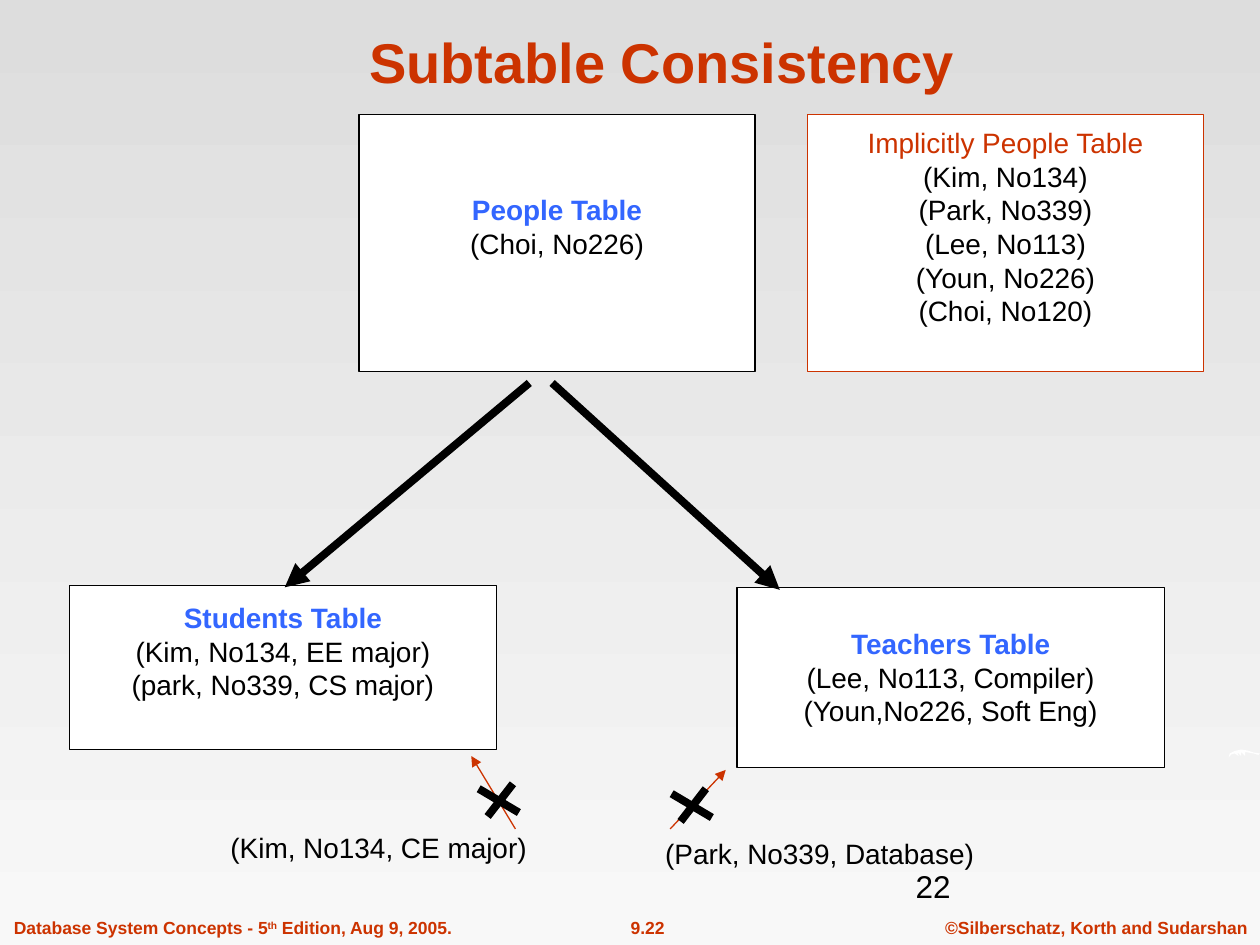
"""Build the Subtable Consistency slide."""
from dataclasses import dataclass
from typing import NamedTuple

from lxml.etree import SubElement
from pptx import Presentation
from pptx.dml.color import RGBColor
from pptx.enum.shapes import MSO_CONNECTOR as Connector, MSO_SHAPE as Shape
from pptx.enum.text import MSO_ANCHOR as Anchor, PP_ALIGN as Align
from pptx.oxml.ns import qn
from pptx.util import Cm, Pt


@dataclass(frozen=True)
class Theme:
    font: str = "Arial"
    accent: str = "CC3300"
    heading: str = "3366FF"
    ink: str = "000000"
    paper: str = "FFFFFF"
    top: str = "DDDDDD"
    bottom: str = "F8F8F8"
    title_size: int = 32
    number_size: int = 18
    body_size: int = 16
    footer_size: int = 10
    thin: float = 0.75
    thick: float = 4.5


THEME = Theme()


class Frame(NamedTuple):
    left: float
    top: float
    width: float
    height: float


class Label(NamedTuple):
    frame: Frame
    spans: tuple[str, ...]
    size: int = THEME.body_size
    color: str = THEME.ink
    bold: bool = False
    align: Align = Align.LEFT
    anchor: Anchor = Anchor.TOP
    wrap: bool = True


class TableBox(NamedTuple):
    frame: Frame
    heading: str
    rows: tuple[str, ...]
    bottom_inset: float = 0.79
    implicit: bool = False


class Stroke(NamedTuple):
    start: tuple[float, float]
    end: tuple[float, float]
    color: str = THEME.ink
    width: float = THEME.thick
    arrow: bool = True


TABLES = (
    TableBox(Frame(7.24, 2.31, 7.98, 5.18), "People Table", ("(Choi, No226)",)),
    TableBox(Frame(1.4, 11.81, 8.61, 3.3), "Students Table",
             ("(Kim, No134, EE major)", "(park, No339, CS major)")),
    TableBox(Frame(14.86, 11.84, 8.61, 3.63), "Teachers Table",
             ("(Lee, No113, Compiler)", "(Youn,No226, Soft Eng)"), bottom_inset=0.13),
    TableBox(Frame(16.28, 2.31, 7.98, 5.18), "Implicitly People Table",
             ("(Kim, No134)", "(Park, No339)", "(Lee, No113)", "(Youn, No226)",
              "(Choi, No120)"), implicit=True),
)

FOOTER = dict(size=THEME.footer_size, color=THEME.accent, bold=True, wrap=False)
FOOTERS = (
    Label(Frame(18.8, 18.36, 6.6, 0.69), ("©Silberschatz, Korth and Sudarshan",),
          align=Align.CENTER, **FOOTER),
    Label(Frame(11.81, 18.36, 2.49, 0.69), ("9.22",), align=Align.CENTER, **FOOTER),
    Label(Frame(0.03, 18.36, 9.35, 0.69),
          ("Database System Concepts - 5", "th", " Edition, Aug 9, 2005."), **FOOTER),
)
TITLE = Label(Frame(2.13, 0.33, 22.43, 1.7), ("Subtable Consistency",), THEME.title_size,
              THEME.accent, True, Align.CENTER, Anchor.BOTTOM)
NOTES = (
    Label(Frame(13.16, 16.74, 6.76, 0.94), ("(Park, No339, Database)",)),
    Label(Frame(4.32, 16.61, 6.63, 0.94), ("(Kim, No134, CE major)",), align=Align.CENTER),
    Label(Frame(18.21, 17.35, 5.28, 1.27), ("22",), THEME.number_size),
)

ARROWS = (
    Stroke((10.67, 7.72), (5.74, 11.84)),
    Stroke((11.13, 7.72), (15.72, 11.89)),
    Stroke((13.51, 16.71), (14.63, 15.52), THEME.accent, THEME.thin),
    Stroke((10.39, 16.71), (9.5, 15.24), THEME.accent, THEME.thin),
)
CROSS_ORIGINS = ((9.65, 15.8), (13.54, 15.9))
CROSS_ARMS = (((0.69, 0), (0.18, 0.66)), ((0, 0.1), (0.81, 0.58)))

WISP = (
    (24.77, 15.27), (24.79, 15.19), (24.89, 15.14), (25.02, 15.11), (25.15, 15.13),
    (25.27, 15.17), (25.4, 15.19), (25.37, 15.22), (25.27, 15.19), (25.1, 15.16),
    (25.1, 15.24), (25.02, 15.16), (25.02, 15.24), (24.94, 15.16), (24.97, 15.24),
    (24.89, 15.19), (24.82, 15.21),
)


def rgb(color: str) -> RGBColor:
    return RGBColor.from_string(color)


def style(para, size: int, color: str, bold: bool, align: Align) -> None:
    para.alignment = align
    font = para.font
    font.name, font.size, font.bold = THEME.font, Pt(size), bold
    font.color.rgb = rgb(color)


def draw_background(page) -> None:
    fill = page.background.fill
    fill.gradient()
    fill.gradient_angle = 270
    for stop, color in zip(fill.gradient_stops, (THEME.top, THEME.bottom)):
        stop.color.rgb = rgb(color)


def draw_wisp(page) -> None:
    points = [(Cm(x), Cm(y)) for x, y in WISP]
    builder = page.shapes.build_freeform(*points[0])
    builder.add_line_segments(points[1:], close=True)
    wisp = builder.convert_to_shape()
    wisp.shadow.inherit = False
    wisp.fill.solid()
    wisp.fill.fore_color.rgb = rgb(THEME.paper)
    wisp.line.fill.background()


def draw_label(page, label: Label) -> None:
    text = page.shapes.add_textbox(*map(Cm, label.frame)).text_frame
    text.word_wrap = label.wrap
    text.vertical_anchor = label.anchor
    para = text.paragraphs[0]
    style(para, label.size, label.color, label.bold, label.align)
    for words in label.spans:
        span = para.add_run()
        span.text = words
        if words == "th":
            span.font._element.set("baseline", "30000")


def draw_table_box(page, table: TableBox) -> None:
    box = page.shapes.add_shape(Shape.RECTANGLE, *map(Cm, table.frame))
    box.shadow.inherit = False
    box.fill.solid()
    box.fill.fore_color.rgb = rgb(THEME.paper)
    box.line.color.rgb = rgb(THEME.accent if table.implicit else THEME.ink)
    box.line.width = Pt(THEME.thin)
    text = box.text_frame
    text.word_wrap = False
    text.vertical_anchor = Anchor.MIDDLE
    text.margin_bottom = Cm(table.bottom_inset)
    para = text.paragraphs[0]
    para.text = table.heading
    style(para, THEME.body_size, THEME.accent if table.implicit else THEME.heading,
          not table.implicit, Align.CENTER)
    for row in table.rows:
        para = text.add_paragraph()
        para.text = row
        style(para, THEME.body_size, THEME.ink, False, Align.CENTER)


def draw_stroke(page, stroke: Stroke) -> None:
    ends = map(Cm, stroke.start + stroke.end)
    line = page.shapes.add_connector(Connector.STRAIGHT, *ends)
    line.line.color.rgb = rgb(stroke.color)
    line.line.width = Pt(stroke.width)
    if stroke.arrow:
        SubElement(line.line._get_or_add_ln(), qn("a:tailEnd"), type="triangle")
    SubElement(line._element.spPr, qn("a:effectLst"))


def draw_cross(page, left: float, top: float) -> None:
    for (x1, y1), (x2, y2) in CROSS_ARMS:
        draw_stroke(page, Stroke((left + x1, top + y1), (left + x2, top + y2), arrow=False))


def main() -> None:
    deck = Presentation()
    deck.slide_width, deck.slide_height = Cm(25.4), Cm(19.05)
    page = deck.slides.add_slide(deck.slide_layouts[6])
    draw_background(page)
    draw_wisp(page)
    for label in (*FOOTERS, TITLE, *NOTES):
        draw_label(page, label)
    for table in TABLES:
        draw_table_box(page, table)
    for arrow in ARROWS:
        draw_stroke(page, arrow)
    for origin in CROSS_ORIGINS:
        draw_cross(page, *origin)
    deck.save("out.pptx")


if __name__ == "__main__":
    main()
